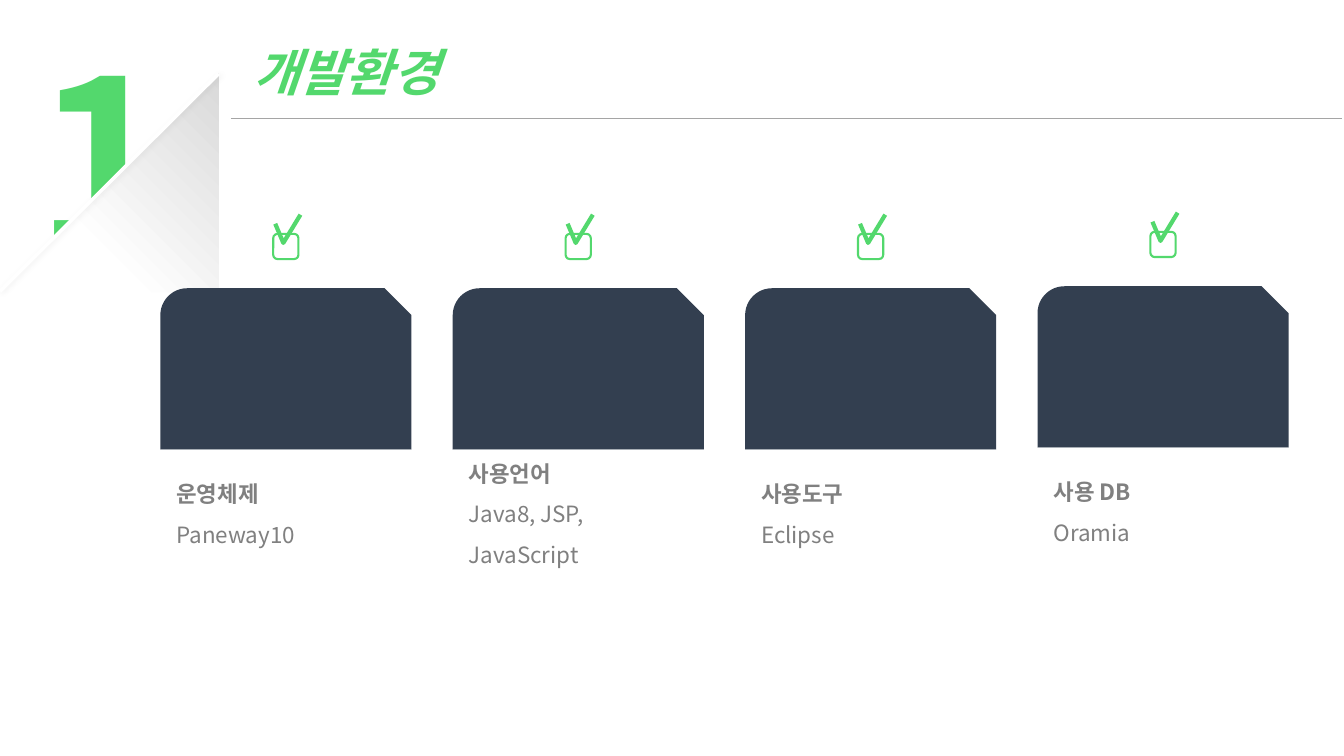
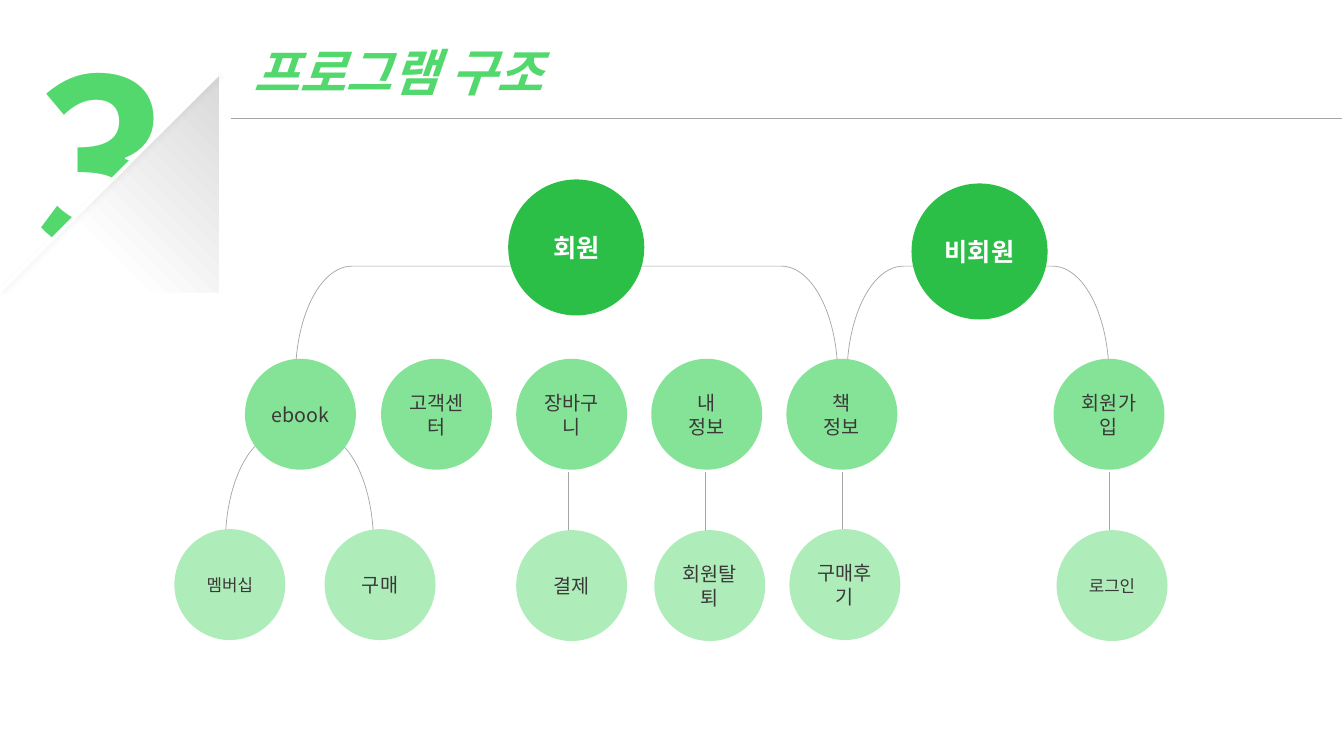
import dataclasses

import pptx
import pptx.dml.color
import pptx.enum.shapes
import pptx.enum.text
import pptx.oxml
import pptx.oxml.ns
import pptx.util
from lxml import etree

PX = 9144  # EMU in one px, 100 px to the inch
SHAPE = pptx.enum.shapes.MSO_SHAPE
ALIGN = pptx.enum.text.PP_ALIGN
ANCHOR = pptx.enum.text.MSO_ANCHOR
rgb = pptx.dml.color.RGBColor.from_string
qn = pptx.oxml.ns.qn
NAMESPACE = pptx.oxml.ns.nsdecls("a")


@dataclasses.dataclass(frozen=True)
class Theme:
    font: str = "Noto Sans CJK KR"
    line_height: float = 1.22
    accent: str = "53D86D"
    white: str = "FFFFFF"
    navy: str = "333F50"
    grey: str = "808080"
    rule: str = "A5A5A5"
    ink: str = "3B3838"
    root: str = "2BBF47"
    branch: str = "85E397"
    leaf: str = "AEECBA"
    number_size: int = 166
    title_size: int = 36
    root_size: int = 18
    label_size: int = 16
    node_size: int = 14
    small_size: int = 12


theme = Theme()


def add_shape(slide, kind, box, fill=None, line=None, width=0.5):
    """Add a preset shape without shadow; box is left, top, width, height in px."""
    shape = slide.shapes.add_shape(kind, *(value * PX for value in box))
    shape.shadow.inherit = False
    if fill:
        shape.fill.solid()
        shape.fill.fore_color.rgb = rgb(fill)
    else:
        shape.fill.background()
    if line:
        shape.line.color.rgb = rgb(line)
        shape.line.width = pptx.util.Pt(width)
    else:
        shape.line.fill.background()
    return shape


def write(shape, text, size, color, bold=False, italic=False,
          align=ALIGN.CENTER, spacing=1):
    """Fill a shape with text, one paragraph a line, in the theme font."""
    shape.text_frame.word_wrap = True
    shape.text_frame.text = text
    for paragraph in shape.text_frame.paragraphs:
        paragraph.alignment = align
        paragraph.line_spacing = pptx.util.Pt(round(size * theme.line_height * spacing))
        for run in paragraph.runs:
            run.font.size = pptx.util.Pt(size)
            run.font.bold = bold
            run.font.italic = italic
            run.font.color.rgb = rgb(color)
            run.font.name = theme.font
            east_asian = etree.SubElement(run.font._element, qn("a:ea"))
            east_asian.set("typeface", theme.font)


presentation = pptx.Presentation()
presentation.slide_width = 1333 * PX
presentation.slide_height = 750 * PX
title_only = presentation.slide_layouts[5]

# Shared header: number, folded corner, title and rules
stems = [(564, 468, 564, 540), (700, 468, 700, 540),
         (835, 468, 835, 540), (1100, 468, 1100, 540)]
slides = []
for number, title_text, slide_stems in [("1", "개발환경", []), ("3", "프로그램 구조", stems)]:
    slide = presentation.slides.add_slide(title_only)
    slides.append(slide)

    number_box = slide.shapes.add_textbox(25 * PX, 0, 150 * PX, 289 * PX)
    number_box.text_frame.margin_top = number_box.text_frame.margin_bottom = 0
    write(number_box, number, theme.number_size, theme.accent, bold=True, spacing=1.04)

    corner = add_shape(slide, SHAPE.RIGHT_TRIANGLE, (0, 73, 217, 217), theme.white)
    corner.rotation = 270
    solid_fill = corner._element.spPr.find(qn("a:solidFill"))
    solid_fill.getparent().replace(solid_fill, pptx.oxml.parse_xml(
        f'<a:gradFill {NAMESPACE} rotWithShape="1"><a:gsLst>'
        '<a:gs pos="0"><a:srgbClr val="D9D9D9"/></a:gs>'
        '<a:gs pos="69000"><a:srgbClr val="FFFFFF"/></a:gs></a:gsLst>'
        '<a:path path="circle"><a:fillToRect l="100000" b="100000"/></a:path>'
        '</a:gradFill>'))

    title = slide.shapes.title
    title.left, title.top, title.width, title.height = (
        value * PX for value in (241, 35, 569, 71))
    title.text_frame.vertical_anchor = ANCHOR.TOP
    title.text_frame.auto_size = pptx.enum.text.MSO_AUTO_SIZE.NONE
    write(title, title_text, theme.title_size, theme.accent, bold=True, italic=True,
          align=ALIGN.LEFT)

    fold = (217, 73, 0, 289)
    for ends in [fold, (229, 117, 1331, 117)] + slide_stems:
        connector = slide.shapes.add_connector(
            pptx.enum.shapes.MSO_CONNECTOR.STRAIGHT, *(value * PX for value in ends))
        connector.line.color.rgb = rgb(theme.white if ends == fold else theme.rule)
        connector.line.width = pptx.util.Pt(2.5 if ends == fold else 0.5)
        effects = etree.SubElement(connector._element.spPr, qn("a:effectLst"))
        if ends == fold:
            effects.append(pptx.oxml.parse_xml(
                f'<a:outerShdw {NAMESPACE} blurRad="50800" dist="12700" dir="2700000">'
                '<a:srgbClr val="000000"><a:alpha val="5000"/></a:srgbClr></a:outerShdw>'))

environment, structure = slides

# Development environment: four cards with a check box above and a label below
cards = [
    ("운영체제\nPaneway10", 286),
    ("사용언어\nJava8, JSP, JavaScript", 286),
    ("사용도구\nEclipse", 286),
    ("사용 DB\nOramia", 284),
]
for index, (label_text, top) in enumerate(cards):
    left = 159 + index * 290
    add_shape(environment, SHAPE.SNIP_ROUND_RECTANGLE, (left, top, 249, 160), theme.navy)

    label = add_shape(environment, SHAPE.RECTANGLE, (left, top + 160, 249, 114), theme.white)
    label.text_frame.margin_left = 16 * PX
    write(label, label_text, theme.label_size, theme.grey, align=ALIGN.LEFT, spacing=1.5)
    label.text_frame.paragraphs[0].runs[0].font.bold = True

    check_box = add_shape(environment, SHAPE.ROUNDED_RECTANGLE,
                          (left + 112, top - 54, 25, 25), theme.white, theme.accent, 1.5)
    check_box.adjustments[0] = 0.17

    builder = environment.shapes.build_freeform((left + 114) * PX, (top - 64) * PX)
    builder.add_line_segments([((left + 122) * PX, (top - 45) * PX),
                               ((left + 139) * PX, (top - 73) * PX)], close=False)
    check_mark = builder.convert_to_shape()
    check_mark.shadow.inherit = False
    check_mark.fill.background()
    check_mark.line.color.rgb = rgb(theme.accent)
    check_mark.line.width = pptx.util.Pt(3)

# Program structure: brackets behind three tiers of circles
for box in [(507, 50, 110, 538), (915, 189, 110, 260), (242, 411, 110, 147)]:
    bracket = add_shape(structure, SHAPE.RIGHT_BRACKET, box, line=theme.rule)
    bracket.rotation = 270
    bracket.adjustments[0] = 0.51

tiers = [
    (135, theme.root, theme.white, theme.root_size, True, [
        ("회원", 504, 178), ("비회원", 904, 182)]),
    (110, theme.branch, theme.ink, theme.node_size, False, [
        ("ebook", 243, 356), ("고객센터", 378, 356), ("장바구니", 512, 356),
        ("내\n정보", 646, 356), ("책\n정보", 780, 356), ("회원가입", 1045, 356)]),
    (110, theme.leaf, theme.ink, theme.node_size, False, [
        ("구매", 322, 525), ("결제", 512, 526), ("회원탈퇴", 649, 526),
        ("구매후기", 783, 525)]),
    (110, theme.leaf, theme.ink, theme.small_size, False, [
        ("멤버십", 173, 525), ("로그인", 1048, 526)]),
]
for diameter, fill, color, size, bold, nodes in tiers:
    for text, left, top in nodes:
        circle = add_shape(structure, SHAPE.OVAL, (left, top, diameter, diameter), fill)
        write(circle, text, size, color, bold=bold)

presentation.save("out.pptx")
